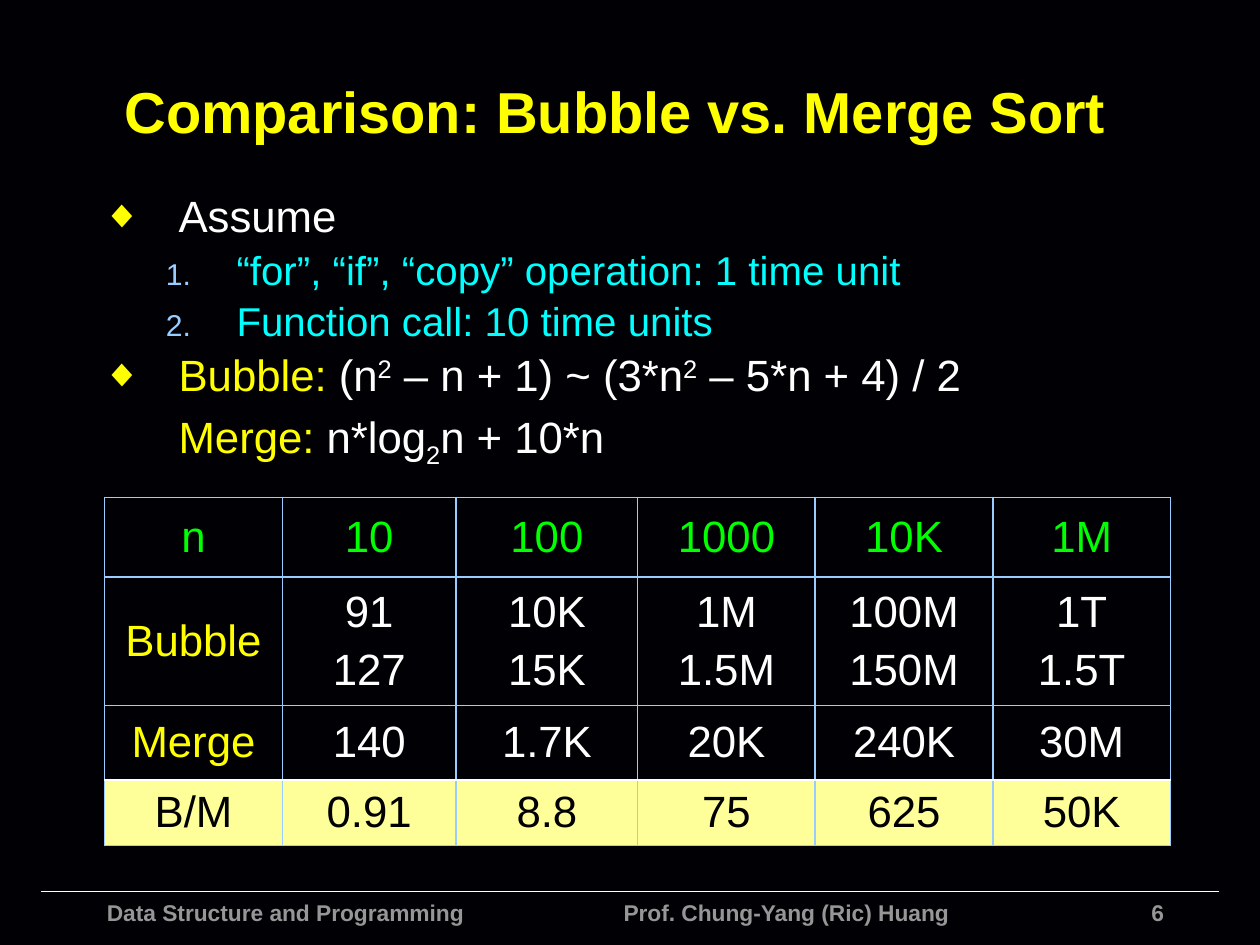
from lxml.etree import SubElement
from pptx import Presentation
from pptx.dml.color import RGBColor
from pptx.enum.shapes import MSO_CONNECTOR as CONN
from pptx.enum.text import MSO_ANCHOR as ANCHOR, PP_ALIGN as ALIGN
from pptx.oxml.ns import qn
from pptx.util import Pt

YELLOW, WHITE, CYAN, GREEN = "FFFF00", "FFFFFF", "00FFFF", "00FF00"
BLUE, GRAY, CREAM, BLACK = "99CCFF", "969696", "FFFF99", "000000"
COLS = [101.5, 99.4, 103.7, 101.5, 101.5, 101.5]
ROWS = [45.4, 73.4, 42.5, 37.4]
COSTS = [
    ["n", "10", "100", "1000", "10K", "1M"],
    ["Bubble", "91\n127", "10K\n15K", "1M\n1.5M", "100M\n150M", "1T\n1.5T"],
    ["Merge", "140", "1.7K", "20K", "240K", "30M"],
    ["B/M", "0.91", "8.8", "75", "625", "50K"],
]


def color(hex_code):
    """Turn a hex string into a colour."""
    return RGBColor.from_string(hex_code)


def style(r, size, hex_code, bold=False):
    """Set the font of a run."""
    r.font.name, r.font.size, r.font.bold = "Arial", Pt(size), bold
    r.font.color.rgb = color(hex_code)


def add_xml(parent, tag, **attrs):
    """Append a DrawingML element and return it."""
    return SubElement(parent, qn(f"a:{tag}"), attrs)


def space_before(p):
    """Put a fifth of a line above a paragraph."""
    add_xml(add_xml(p._p.get_or_add_pPr(), "spcBef"), "spcPct", val="20000")


def add_box(s, left, top, width, height):
    """Add a wrapping text box and return its text frame."""
    tf = s.shapes.add_textbox(Pt(left), Pt(top), Pt(width), Pt(height)).text_frame
    tf.word_wrap = True
    return tf


def add_label(s, text, at, size, hex_code, align=ALIGN.LEFT):
    """Add one line of bold text and return its text frame."""
    tf = add_box(s, *at)
    p = tf.paragraphs[0]
    p.text, p.alignment = text, align
    style(p.runs[0], size, hex_code, True)
    return tf


def add_item(tf, runs, size, margin, hang, bullet=None):
    """Add a body paragraph from (text, colour, baseline) runs."""
    p = tf.add_paragraph() if tf.text else tf.paragraphs[0]
    p.line_spacing = 0.9
    space_before(p)
    pPr = p._p.get_or_add_pPr()
    pPr.set("marL", str(Pt(margin)))
    pPr.set("indent", str(Pt(-hang)))
    if bullet:
        tag, hex_code, percent, attrs = bullet
        add_xml(add_xml(pPr, "buClr"), "srgbClr", val=hex_code)
        add_xml(pPr, "buSzPct", val=str(percent * 1000))
        add_xml(pPr, "buFont", typeface="Arial")
        add_xml(pPr, tag, **attrs)
    for text, hex_code, baseline in runs:
        r = p.add_run()
        r.text = text
        style(r, size, hex_code)
        if baseline:
            r._r.get_or_add_rPr().set("baseline", str(baseline * 1000))


def add_body(s):
    """Add the assumptions and the two cost formulas."""
    tf = add_box(s, 51.8, 108, 612, 170.6)
    diamond = ("buChar", YELLOW, 90, {"char": "◆"})
    number = ("buAutoNum", BLUE, 75, {"type": "arabicPeriod"})
    add_item(tf, [("Assume", WHITE, 0)], 25, 43.2, 43.2, diamond)
    for text in ("“for”, “if”, “copy” operation: 1 time unit",
                 "Function call: 10 time units"):
        add_item(tf, [(text, CYAN, 0)], 23, 76.3, 40.3, number)
    bubble = [("Bubble:", YELLOW, 0), (" (n", WHITE, 0), ("2", WHITE, 30),
              (" – n + 1) ~ (3*n", WHITE, 0), ("2", WHITE, 30),
              (" – 5*n + 4) / 2", WHITE, 0)]
    merge = [("Merge:", YELLOW, 0), (" n*log", WHITE, 0), ("2", WHITE, -25),
             ("n + 10*n", WHITE, 0)]
    add_item(tf, bubble, 25, 43.2, 43.2, diamond)
    add_item(tf, merge, 25, 43.2, 0)


def set_borders(cell, **edges):
    """Draw the L, R, T and B edges of a cell in the given colours."""
    tcPr = cell._tc.get_or_add_tcPr()
    for side, hex_code in edges.items():
        ln = add_xml(tcPr, f"ln{side}", w=str(Pt(1)))
        add_xml(add_xml(ln, "solidFill"), "srgbClr", val=hex_code)


def fill_cell(cell, text, hex_code):
    """Write centred text into a cell."""
    cell.text_frame.text = text
    cell.vertical_anchor = ANCHOR.MIDDLE
    cell.margin_left = cell.margin_right = Pt(3.6)
    cell.margin_top = cell.margin_bottom = Pt(3.6)
    for p in cell.text_frame.paragraphs:
        p.alignment = ALIGN.CENTER
        space_before(p)
        style(p.runs[0], 25, hex_code)


def add_cost_table(s):
    """Add the table of costs with the ratio row highlighted."""
    frame = s.shapes.add_table(len(ROWS), len(COLS), Pt(59.8), Pt(284.4),
                               Pt(sum(COLS)), Pt(sum(ROWS)))
    table = frame.table
    table.first_row = table.horz_banding = False
    for col, width in zip(table.columns, COLS):
        col.width = Pt(width)
    for row, height in zip(table.rows, ROWS):
        row.height = Pt(height)
    ratio = len(ROWS) - 1
    for i, texts in enumerate(COSTS):
        for j, text in enumerate(texts):
            cell = table.cell(i, j)
            body = WHITE if j else YELLOW
            fill_cell(cell, text, {0: GREEN, ratio: BLACK}.get(i, body))
            set_borders(cell, L=BLUE, R=BLUE, T=WHITE if i == ratio else BLUE,
                        B=WHITE if i == ratio - 1 else BLUE)
            if i == ratio:
                cell.fill.solid()
                cell.fill.fore_color.rgb = color(CREAM)
            else:
                cell.fill.background()


def add_rule(s, left, right, y):
    """Add a horizontal white line."""
    line = s.shapes.add_connector(CONN.STRAIGHT, Pt(left), Pt(y), Pt(right), Pt(y))
    line.line.color.rgb = color(WHITE)
    line.line.width = Pt(1)
    add_xml(line._element.spPr, "effectLst")


def main():
    """Build the slide and save it."""
    prs = Presentation()
    prs.slide_width, prs.slide_height = Pt(720), Pt(540)
    s = prs.slides.add_slide(prs.slide_layouts[6])
    s.background.fill.solid()
    s.background.fill.fore_color.rgb = color("010004")
    add_rule(s, 23.5, 696.5, 509.5)
    add_label(s, "6", (444, 509.8, 228.2, 13), 13, GRAY, ALIGN.RIGHT)
    add_label(s, "Data Structure and Programming", (54, 509.8, 280, 30), 13, GRAY)
    add_label(s, "Prof. Chung-Yang (Ric) Huang", (349.2, 509.8, 226, 30), 13, GRAY)
    title = add_label(s, "Comparison: Bubble vs. Merge Sort",
                      (54.7, 26.6, 636.5, 72.7), 33, YELLOW)
    title.vertical_anchor = ANCHOR.MIDDLE
    title.margin_left = Pt(16.4)
    add_body(s)
    add_cost_table(s)
    prs.save("out.pptx")


if __name__ == "__main__":
    main()
